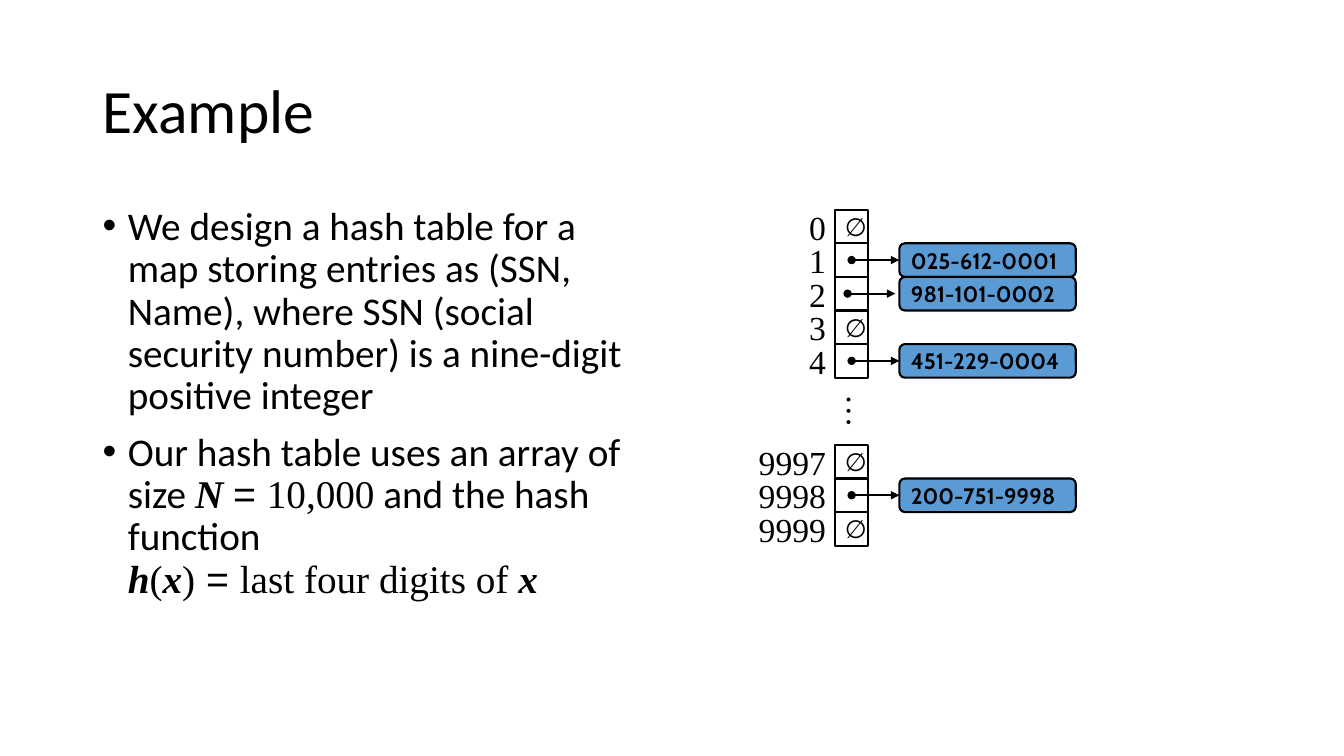
import lxml.etree
import pptx
import pptx.dml.color
import pptx.enum.shapes
import pptx.enum.text
import pptx.oxml.ns
import pptx.util

Inches = pptx.util.Inches
Pt = pptx.util.Pt
SHAPE = pptx.enum.shapes.MSO_SHAPE
ANCHOR = pptx.enum.text.MSO_ANCHOR
ALIGN = pptx.enum.text.PP_ALIGN
qn = pptx.oxml.ns.qn

COLORS = {"ink": "000000", "entry": "5B9BD5"}
SANS, SERIF, SYMBOL, LABEL = "Calibri", "Times New Roman", "Arial", "Cabin"

# Text, font, bold and italic
BULLETS = [
    [("We design a hash table for a map storing entries as (SSN, Name), where SSN "
      "(social security number) is a nine-digit positive integer", SANS, False)],
    [("Our hash table uses an array of size ", SANS, False),
     ("N ", SERIF, True), ("= ", SYMBOL, False), ("10,000", SERIF, False),
     (" and the hash function\n", SANS, False),
     ("h", SERIF, True), ("(", SERIF, False), ("x", SERIF, True), (")", SERIF, False),
     (" = ", SYMBOL, False), ("last four digits of ", SERIF, False), ("x", SERIF, True)],
]

# Row in the diagram, array index, stored key, shift of its arrow
CELLS = [
    (0, "0", None, 0),
    (1, "1", "025-612-0001", 0),
    (2, "2", "981-101-0002", -0.04),
    (3, "3", None, 0),
    (4, "4", "451-229-0004", 0),
    (7, "9997", None, 0),
    (8, "9998", "200-751-9998", 0),
    (9, "9999", None, 0),
]
ROW = 1 / 3


def color(name):
    return pptx.dml.color.RGBColor.from_string(COLORS[name])


def add_run(para, text, size, font, bold=False, italic=False):
    span = para.add_run()
    span.text = text
    span.font.size = Pt(size)
    span.font.name = font
    span.font.bold = bold
    span.font.italic = italic
    span.font.color.rgb = color("ink")


def add_text(page, left, top, width, height, wrap=False):
    box = page.shapes.add_textbox(Inches(left), Inches(top), Inches(width), Inches(height))
    box.text_frame.word_wrap = wrap
    return box


def add_block(page, kind, left, top, width, fill=None):
    """Outlined block, one row high, for a cell or an entry."""
    block = page.shapes.add_shape(kind, Inches(left), Inches(top), Inches(width), Inches(ROW))
    block.shadow.inherit = False
    if fill:
        block.fill.solid()
        block.fill.fore_color.rgb = color(fill)
    else:
        block.fill.background()
    block.line.color.rgb = color("ink")
    block.line.width = Pt(1.5)
    frame = block.text_frame
    frame.word_wrap = False
    frame.vertical_anchor = ANCHOR.MIDDLE
    frame.paragraphs[0].alignment = ALIGN.LEFT
    return block


def add_arrow(page, start, end, y):
    arrow = page.shapes.add_connector(
        pptx.enum.shapes.MSO_CONNECTOR.STRAIGHT, Inches(start), Inches(y), Inches(end), Inches(y))
    arrow.line.color.rgb = color("ink")
    arrow.line.width = Pt(1.5)
    line = arrow.line._get_or_add_ln()
    lxml.etree.SubElement(line, qn("a:headEnd"), type="oval")
    lxml.etree.SubElement(line, qn("a:tailEnd"), type="triangle")
    lxml.etree.SubElement(arrow._element.spPr, qn("a:effectLst"))
    return arrow


def add_title(page, left, top, width, height):
    frame = add_text(page, left, top, width, height, wrap=True).text_frame
    frame.vertical_anchor = ANCHOR.MIDDLE
    para = frame.paragraphs[0]
    para.line_spacing = 0.9
    add_run(para, "Example", 44, SANS)


def add_bullets(page, left, top, width, height):
    frame = add_text(page, left, top, width, height, wrap=True).text_frame
    for number, spans in enumerate(BULLETS):
        para = frame.add_paragraph() if number else frame.paragraphs[0]
        para.line_spacing = 0.9
        para.space_before = Pt(10)
        props = para._p.get_or_add_pPr()
        props.set("marL", str(Inches(0.25)))
        props.set("indent", str(Inches(-0.25)))
        lxml.etree.SubElement(props, qn("a:buFont"), typeface="Arial")
        lxml.etree.SubElement(props, qn("a:buChar"), char="•")
        for text, font, variable in spans:
            add_run(para, text.rstrip("\n"), 28, font, variable, variable)
            if text.endswith("\n"):
                para.add_line_break()


def add_hash_table(page, left, top):
    """Array cells with indices at their left and entries at their right."""
    entry_left = left + 0.64
    for row, index, key, shift in CELLS:
        y = top + row * ROW
        cell = add_block(page, SHAPE.RECTANGLE, left, y, ROW)
        label = add_text(page, left - 0.86, y - 0.08, 0.87, 0.5)
        para = label.text_frame.paragraphs[0]
        para.alignment = ALIGN.RIGHT
        add_run(para, index, 24, SERIF)
        if key is None:
            add_run(cell.text_frame.paragraphs[0], "∅", 18, LABEL)
            continue
        entry = add_block(page, SHAPE.ROUNDED_RECTANGLE, entry_left, y, 1.75, "entry")
        add_run(entry.text_frame.paragraphs[0], key, 16, LABEL, bold=True)
        arrow = add_arrow(page, left + ROW / 2 + shift, entry_left + shift, y + ROW / 2)
        if not shift:
            arrow.end_connect(entry, 1)
    dots = add_text(page, left - 0.01, top + 1.75, 0.53, 0.5)
    dots.rotation = 90
    add_run(dots.text_frame.paragraphs[0], "…", 24, SERIF)


def main():
    deck = pptx.Presentation()
    deck.slide_width = Inches(13.33)
    deck.slide_height = Inches(7.5)
    page = deck.slides.add_slide(deck.slide_layouts[6])
    add_title(page, 0.92, 0.4, 11.5, 1.45)
    add_bullets(page, 0.92, 2, 5.67, 4.76)
    add_hash_table(page, 8.28, 2.08)
    deck.save("out.pptx")


if __name__ == "__main__":
    main()
